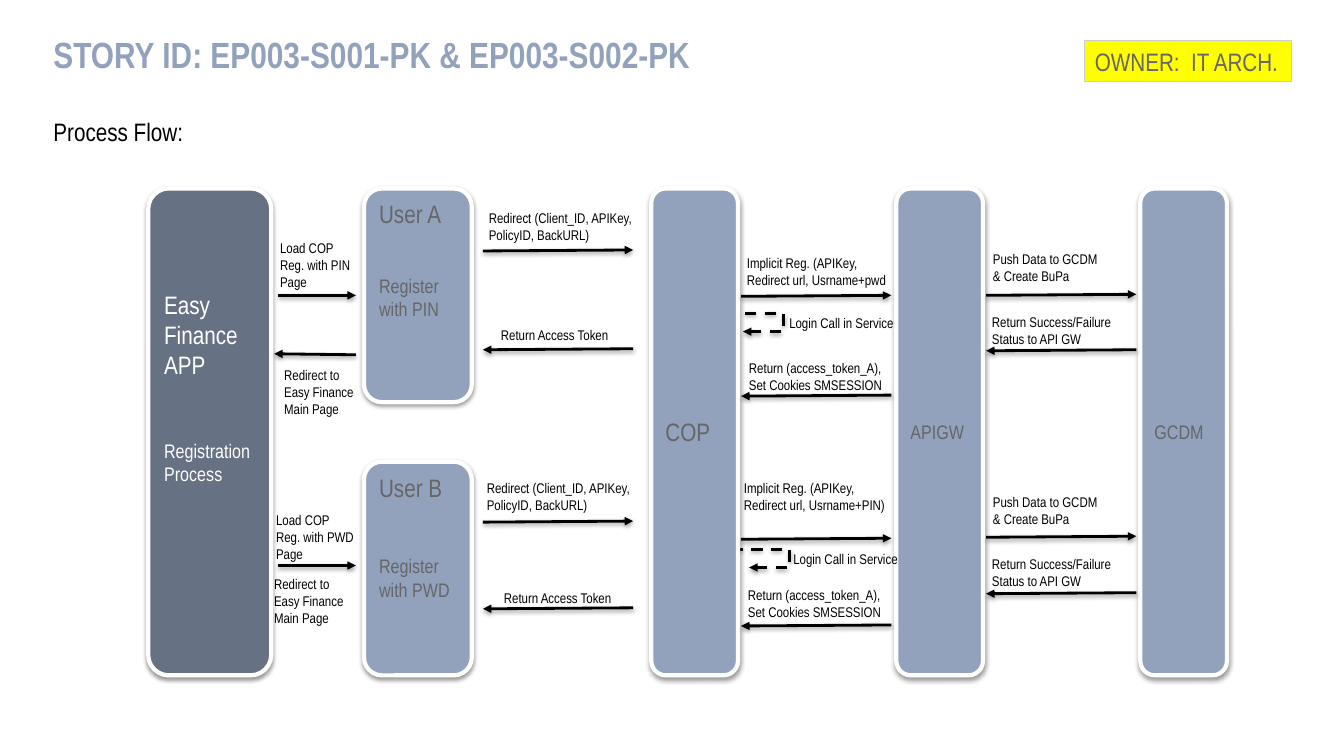
from lxml.etree import SubElement
from pptx import Presentation
from pptx.dml.color import RGBColor
from pptx.enum.dml import MSO_LINE
from pptx.enum.shapes import MSO_CONNECTOR as Link, MSO_SHAPE as Shape
from pptx.enum.text import MSO_ANCHOR as Anchor, MSO_AUTO_SIZE as AutoSize, PP_ALIGN as Align
from pptx.oxml.ns import qn
from pptx.util import Inches, Pt

FONT = "Arial Narrow"
COLORS = {"blue": "92A2BD", "slate": "667184", "gray": "666666", "white": "FFFFFF",
          "black": "000000", "yellow": "FFFF00", "border": "CCCCCC"}

TITLE = "STORY ID: EP003-S001-PK & EP003-S002-PK"
SUBTITLE = "Process Flow:"
OWNER = "OWNER:  IT ARCH."

# Lanes: left, width, row, fill, text colour, top inset (None centres), (text, size, space before)
TOP, LANE_H, USER_H = 1.87, 4.83, 2.12
ROWS = {"full": (TOP, LANE_H), "upper": (TOP, USER_H),
        "lower": (TOP + LANE_H - USER_H, USER_H)}
LANES = [
    (3.61, 1.07, "upper", "blue", "gray", 0.05,
     [("User A", 18, 0), ("Register with PIN", 14, 32)]),
    (1.47, 1.22, "full", "slate", "white", 0.94,
     [("Easy Finance APP", 18, 0), ("Registration", 14, 42), ("Process", 14, 0)]),
    (3.61, 1.07, "lower", "blue", "gray", 0.05,
     [("User B", 18, 0), ("Register with PWD", 14, 37)]),
    (8.89, 0.86, "full", "blue", "gray", None, [("APIGW", 14, 0)]),
    (11.31, 0.86, "full", "blue", "gray", None, [("GCDM", 14, 0)]),
    (6.46, 0.86, "full", "blue", "gray", None, [("COP", 18, 0)]),
]

# Arrows per gap between lanes: left, right, tilt, heights to the right, heights to the left
ARROWS = [
    (2.76, 3.53, 0, [2.93, 5.61], []),
    (2.72, 3.53, -0.01, [], [3.52]),
    (4.79, 6.28, 0.01, [2.48, 5.17], [3.46, 6.03]),
    (7.35, 8.84, 0.01, [2.93, 5.34], [3.92, 6.20]),
    (9.78, 11.27, 0.01, [2.92, 5.32], [3.47, 5.88]),
]
LOOPS = [(7.0, 3.11), (7.06, 5.45)]
LOOP_W, LOOP_H, LOOP_REACH = 0.37, 0.18, 2.09

# Labels: width, lines, places
LABELS = [
    (0.93, ["Load COP", "Reg. with PIN", "Page"], [(2.68, 2.33)]),
    (1.01, ["Load COP", "Reg. with PWD", "Page"], [(2.64, 5.03)]),
    (0.90, ["Redirect to", "Easy Finance", "Main Page"], [(2.72, 3.59), (2.62, 5.66)]),
    (1.71, ["Redirect (Client_ID, APIKey,", "PolicyID, BackURL)"], [(4.75, 2.03), (4.73, 4.71)]),
    (1.33, ["Return Access Token"], [(4.87, 3.19), (4.90, 5.80)]),
    (1.67, ["Implicit Reg. (APIKey,", "Redirect url, Usrname+pwd"], [(7.31, 2.48)]),
    (1.65, ["Implicit Reg. (APIKey,", "Redirect url, Usrname+PIN)"], [(7.28, 4.71)]),
    (1.26, ["Login Call in Service"], [(7.73, 3.07), (7.77, 5.41)]),
    (1.61, ["Return (access_token_A),", "Set Cookies SMSESSION"], [(7.33, 3.52), (7.32, 5.77)]),
    (1.28, ["Push Data to GCDM", "& Create BuPa"], [(9.75, 2.44), (9.75, 4.85)]),
    (1.45, ["Return Success/Failure", "Status to API GW"], [(9.74, 3.06), (9.74, 5.46)]),
]
LABEL_PAD, LABEL_LINE = 0.10, 0.17

deck = Presentation()
deck.slide_width, deck.slide_height = Inches(13.33), Inches(7.5)
slide = deck.slides.add_slide(deck.slide_layouts[6])


def rgb(name):
    return RGBColor.from_string(COLORS[name])


def inches(*lengths):
    return [Inches(length) for length in lengths]


def write(frame, lines, color, bold=False):
    for i, (text, size, before) in enumerate(lines):
        para = frame.paragraphs[0] if i == 0 else frame.add_paragraph()
        para.alignment = Align.LEFT
        para.space_before = Pt(before)
        run = para.add_run()
        run.text = text
        run.font.name, run.font.size, run.font.bold = FONT, Pt(size), bold
        run.font.color.rgb = rgb(color)


def add_shadow(item):
    props = item.element.spPr
    effects = props.find(qn("a:effectLst"))
    if effects is None:
        effects = SubElement(props, qn("a:effectLst"))
    shadow = SubElement(effects, qn("a:outerShdw"), blurRad="40000", dist="20000",
                        dir="5400000", rotWithShape="0")
    tint = SubElement(shadow, qn("a:srgbClr"), val=COLORS["black"])
    SubElement(tint, qn("a:alpha"), val="38000")


def add_panel(kind, place, fill, border, weight):
    panel = slide.shapes.add_shape(kind, *inches(*place))
    panel.shadow.inherit = False
    panel.fill.solid()
    panel.fill.fore_color.rgb = rgb(fill)
    panel.line.color.rgb = rgb(border)
    panel.line.width = Pt(weight)
    panel.text_frame.word_wrap = True
    panel.text_frame.vertical_anchor = Anchor.MIDDLE
    return panel


def add_arrow(kind, start, end, dashed=False):
    arrow = slide.shapes.add_connector(kind, *inches(*start, *end))
    arrow.line.color.rgb = rgb("black")
    arrow.line.width = Pt(2)
    if dashed:
        arrow.line.dash_style = MSO_LINE.DASH
    SubElement(arrow.element.spPr.find(qn("a:ln")), qn("a:tailEnd"), type="triangle")
    add_shadow(arrow)
    return arrow


def add_heading(place, text, size, color, bold=False):
    frame = slide.shapes.add_textbox(*inches(*place)).text_frame
    frame.word_wrap = True
    frame.margin_left = frame.margin_right = frame.margin_top = frame.margin_bottom = 0
    write(frame, [(text, size, 0)], color, bold)
    return frame


# Headings
title = add_heading((0.53, 0.38, 10, 0.77), TITLE, 26, "blue", True)
title.paragraphs[0].line_spacing = Pt(27)
add_heading((0.53, 1.15, 12.28, 0.4), SUBTITLE, 18, "black")

# Login loops, which start behind the COP lane
for x, y in LOOPS:
    loop = add_arrow(Link.ELBOW, (x, y), (x + LOOP_W, y + LOOP_H), dashed=True)
    guides = loop.element.spPr.find(qn("a:prstGeom")).get_or_add_avLst()
    SubElement(guides, qn("a:gd"), name="adj1", fmla=f"val {round(LOOP_REACH * 100000)}")

# Lanes
for left, width, row, fill, color, inset, lines in LANES:
    top, height = ROWS[row]
    lane = add_panel(Shape.ROUNDED_RECTANGLE, (left, top, width, height), fill, "white", 3)
    add_shadow(lane)
    if inset is not None:
        lane.text_frame.vertical_anchor = Anchor.TOP
        lane.text_frame.margin_top = Inches(inset)
    write(lane.text_frame, lines, color)

# Arrows
for left, right, tilt, forward, back in ARROWS:
    for y in forward:
        add_arrow(Link.STRAIGHT, (left, y + tilt), (right, y))
    for y in back:
        add_arrow(Link.STRAIGHT, (right, y), (left, y + tilt))

# Labels
for width, lines, places in LABELS:
    for x, y in places:
        height = LABEL_PAD + LABEL_LINE * len(lines)
        label = slide.shapes.add_textbox(*inches(x, y, width, height)).text_frame
        label.word_wrap = False
        label.auto_size = AutoSize.SHAPE_TO_FIT_TEXT
        write(label, [(line, 10, 0) for line in lines], "black")

# Owner tag
owner = add_panel(Shape.RECTANGLE, (10.76, 0.4, 2.05, 0.41), "yellow", "border", 0.75)
write(owner.text_frame, [(OWNER, 18, 0)], "gray")

deck.save("out.pptx")
